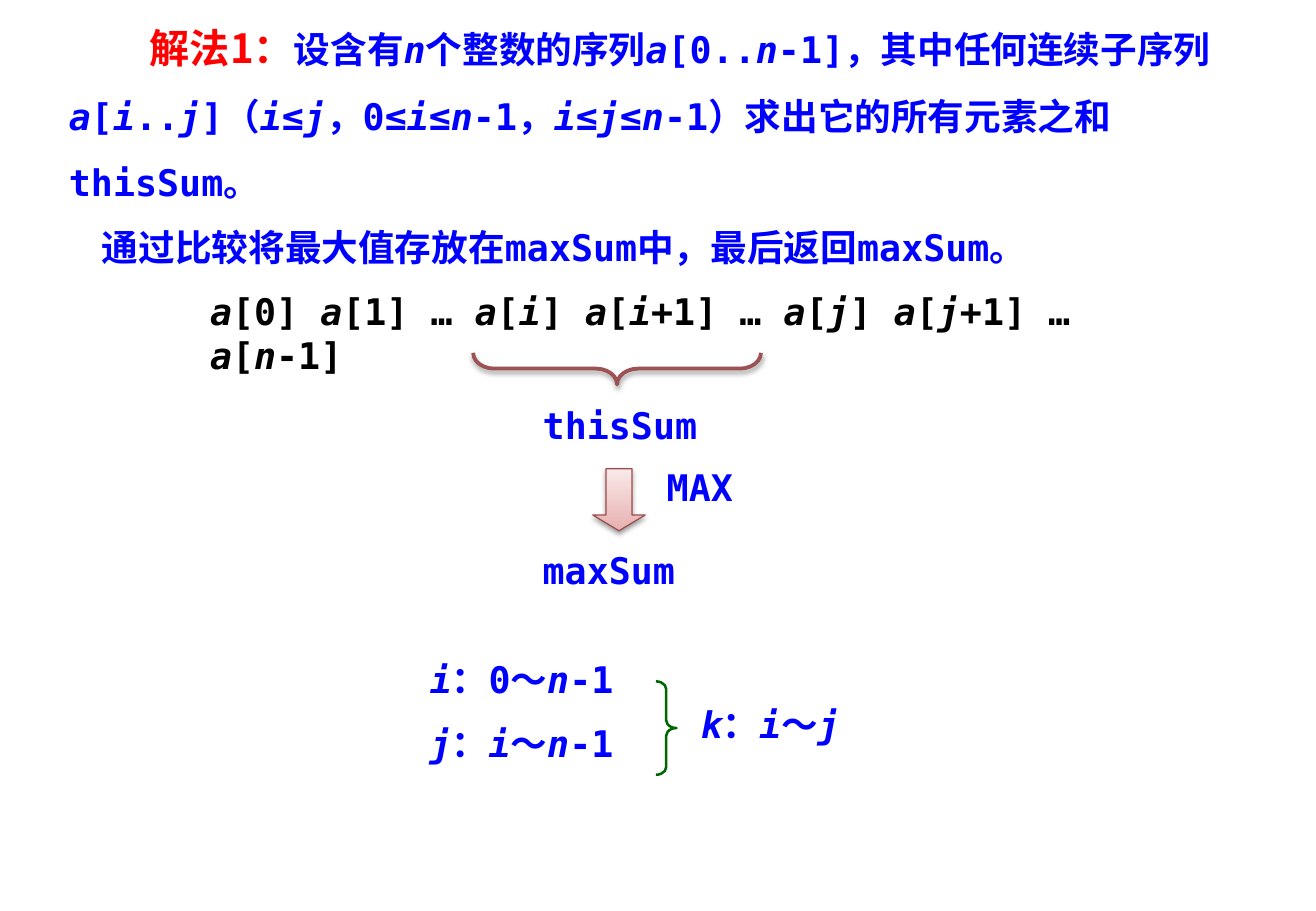
from lxml import etree
from pptx import Presentation
from pptx.dml.color import RGBColor
from pptx.enum.shapes import MSO_SHAPE
from pptx.oxml.ns import qn
from pptx.util import Pt

LEFT_BRACE, RIGHT_BRACE = MSO_SHAPE.LEFT_BRACE, MSO_SHAPE.RIGHT_BRACE
DOWN_ARROW = MSO_SHAPE.DOWN_ARROW

THEME = {
    "mono": "DejaVu Sans Mono", "cjk": "Noto Sans CJK SC",
    "body": 21.7, "heading": 23.8,
    "blue": "0000FF", "red": "FF0000", "black": "000000", "white": "FFFFFF",
    "brace": "9C5252", "arrow": "9A4E4E", "range": "006600",
    "arrow_fill": ("E8B0B0", "F9E9E9"),
}

# Content: underscores switch italics on and off
HEADING = "解法1："
INTRO = (
    "设含有_n_个整数的序列_a_[0.._n_-1]，其中任何连续子序列_a_[_i_.._j_]"
    "（_i_≤_j_，0≤_i_≤_n_-1，_i_≤_j_≤_n_-1）求出它的所有元素之和thisSum。"
)
COMPARISON = "通过比较将最大值存放在maxSum中，最后返回maxSum。"
SEQUENCE = ("_a_[0] _a_[1] … _a_[_i_] _a_[_i_+1] … "
            "_a_[_j_] _a_[_j_+1] … _a_[_n_-1]")

# (left, top, width, height), colour, paragraphs
LABELS = [
    ((117.4, 167.8, 576.7, 33.8), "black", [SEQUENCE]),
    ((314.6, 235.4, 128.9, 33.8), "blue", ["thisSum"]),
    ((314.6, 321.1, 141.1, 33.8), "blue", ["maxSum"]),
    ((388.1, 272.2, 79.9, 33.8), "blue", ["MAX"]),
    ((247.7, 385.9, 147.6, 72.7), "blue", ["_i_：0～_n_-1", "_j_：_i_～_n_-1"]),
    ((408.2, 412.6, 135.4, 33.8), "blue", ["_k_：_i_～_j_"]),
]

# preset, (left, top, width, height), adjustments, rotation, line, weight, shadow
MARKS = [
    (LEFT_BRACE, (356.4, 133.2, 18.7, 170.6), (0.67, 0.5), 270, "brace", 2.25, True),
    (DOWN_ARROW, (351.4, 277.9, 31, 36.7), (0.5, 0.3), 0, "arrow", 0.75, True),
    (RIGHT_BRACE, (388.8, 403.9, 12.2, 55.4), (0.37, 0.5), 0, "range", 1.5, False),
]


def color(name):
    return RGBColor.from_string(THEME.get(name, name))


def add_run(paragraph, text, tint, face="mono", size="body", italic=False):
    run = paragraph.add_run()
    run.text = text
    style = {"name": THEME[face], "size": Pt(THEME[size]), "bold": True, "italic": italic}
    for key, value in style.items():
        setattr(run.font, key, value)
    run.font.color.rgb = color(tint)
    east_asian = etree.SubElement(run.font._element, qn("a:ea"))
    east_asian.set("typeface", THEME[face])


def add_marked(paragraph, text, tint):
    for index, part in enumerate(text.split("_")):
        if part:
            add_run(paragraph, part, tint, italic=index % 2 == 1)


def add_text_frame(shapes, box):
    holder = shapes.add_textbox(*map(Pt, box))
    holder.text_frame.word_wrap = True
    return holder


def add_soft_shadow(shape):
    effects = shape._element.spPr.find(qn("a:effectLst"))
    shadow = etree.SubElement(effects, qn("a:outerShdw"), blurRad=str(Pt(3.1)),
                              dist=str(Pt(1.6)), dir="5400000", rotWithShape="0")
    shade = etree.SubElement(shadow, qn("a:srgbClr"), val=THEME["black"])
    etree.SubElement(shade, qn("a:alpha"), val="38000")


prs = Presentation()
prs.slide_width, prs.slide_height = Pt(780), Pt(540)
slide = prs.slides.add_slide(prs.slide_layouts[6])
slide.background.fill.solid()
slide.background.fill.fore_color.rgb = color("white")

# Explanation
explanation = add_text_frame(slide.shapes, (33.8, 0, 700.6, 121))
explanation.fill.solid()
explanation.fill.fore_color.rgb = color("white")
opening = explanation.text_frame.paragraphs[0]
closing = explanation.text_frame.add_paragraph()
for paragraph, indent in ((opening, 48), (closing, 19.5)):
    paragraph.line_spacing = Pt(39)
    paragraph._p.get_or_add_pPr().set("indent", str(Pt(indent)))
add_run(opening, HEADING, "red", "cjk", "heading")
add_marked(opening, INTRO, "blue")
add_marked(closing, COMPARISON, "blue")

# Sequence, sums and index ranges
for box, tint, lines in LABELS:
    frame = add_text_frame(slide.shapes, box).text_frame
    for index, line in enumerate(lines):
        paragraph = frame.add_paragraph() if index else frame.paragraphs[0]
        paragraph.space_before = Pt(11.5 if index else 0)
        add_marked(paragraph, line, tint)

# Braces and arrow
for preset, box, adjustments, rotation, line, weight, shadowed in MARKS:
    mark = slide.shapes.add_shape(preset, *map(Pt, box))
    mark.rotation = rotation
    for index, value in enumerate(adjustments):
        mark.adjustments[index] = value
    mark.line.color.rgb = color(line)
    mark.line.width = Pt(weight)
    if preset == DOWN_ARROW:
        mark.fill.gradient()
        mark.fill.gradient_angle = 90
        for stop, tint in zip(mark.fill.gradient_stops, THEME["arrow_fill"]):
            stop.color.rgb = color(tint)
    else:
        mark.fill.background()
    mark.shadow.inherit = False
    if shadowed:
        add_soft_shadow(mark)

prs.save("out.pptx")
